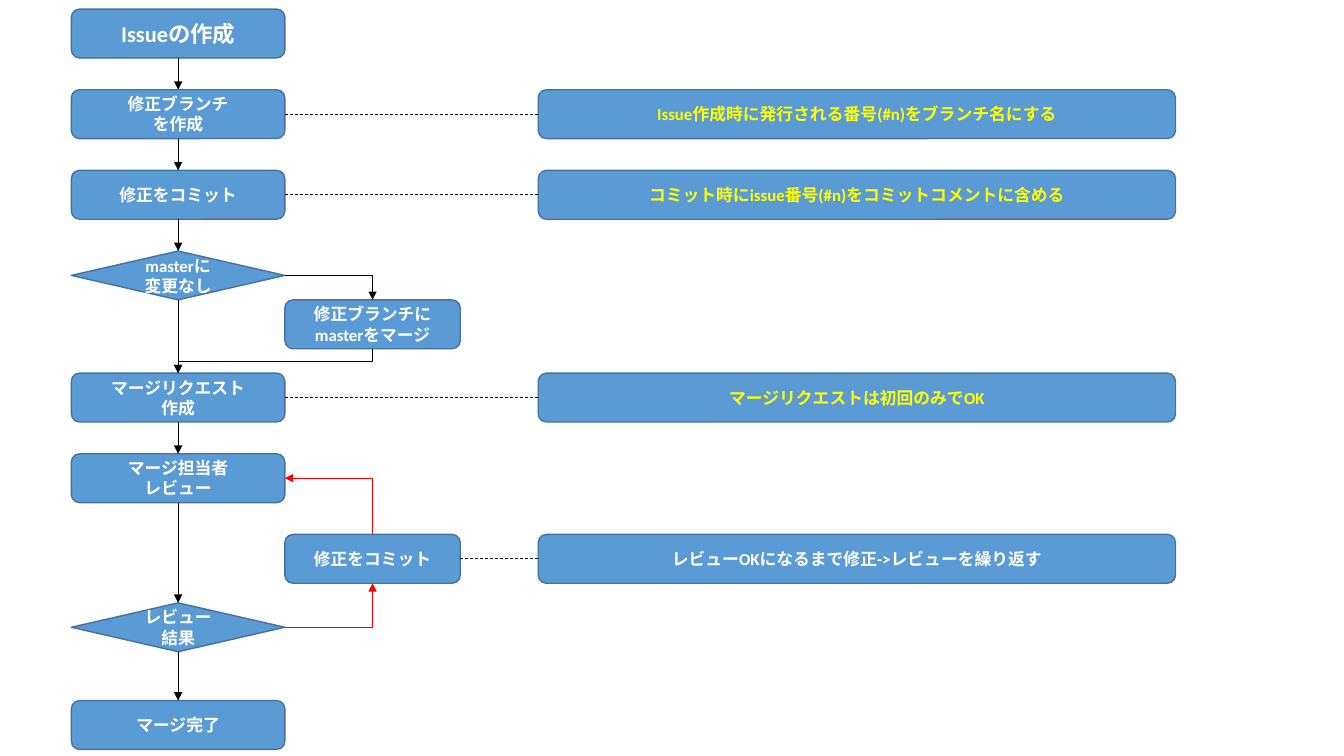
from dataclasses import dataclass

from lxml import etree
from pptx import Presentation
from pptx.dml.color import RGBColor
from pptx.enum.dml import MSO_LINE
from pptx.enum.shapes import MSO_CONNECTOR, MSO_SHAPE
from pptx.enum.text import MSO_ANCHOR, PP_ALIGN
from pptx.oxml.ns import qn
from pptx.shapes.autoshape import Shape
from pptx.shapes.connector import Connector
from pptx.util import Pt

ROUNDED, DECISION = MSO_SHAPE.ROUNDED_RECTANGLE, MSO_SHAPE.FLOWCHART_DECISION
STRAIGHT, ELBOW = MSO_CONNECTOR.STRAIGHT, MSO_CONNECTOR.ELBOW
CENTER, MIDDLE, DASH = PP_ALIGN.CENTER, MSO_ANCHOR.MIDDLE, MSO_LINE.DASH
TOP, LEFT, BOTTOM, RIGHT = range(4)  # connection sites of both box shapes


@dataclass(frozen=True)
class Theme:
    box: RGBColor = RGBColor(0x5B, 0x9B, 0xD5)
    border: RGBColor = RGBColor(0x43, 0x73, 0x9E)
    text: RGBColor = RGBColor(0xFF, 0xFF, 0xFF)
    rule: RGBColor = RGBColor(0xFF, 0xFF, 0x00)
    flow: RGBColor = RGBColor(0x00, 0x00, 0x00)
    rework: RGBColor = RGBColor(0xFF, 0x00, 0x00)
    font: str = "Calibri"
    start_size: float = 16
    body_size: float = 12
    border_width: float = 1
    flow_width: float = 0.5


@dataclass(frozen=True)
class Column:
    left: float
    width: float


@dataclass(frozen=True)
class Step:
    key: str
    text: str
    column: Column
    top: float
    kind: MSO_SHAPE = ROUNDED
    size: float = Theme.body_size
    color: RGBColor = Theme.text


@dataclass(frozen=True)
class Link:
    begin: str
    end: str
    begin_site: int = BOTTOM
    end_site: int = TOP
    color: RGBColor = Theme.flow
    arrow: bool = True
    bend: str = ""


THEME = Theme()

# Grid
BOX_HEIGHT = 34.9
PITCH = 57.6
MAIN = Column(51, 152.5)
SIDE = Column(MAIN.left + MAIN.width, 125.3)
NOTES = Column(384.5, 455.2)
ISSUE, BRANCH, COMMIT, CHECK = (6.5 + PITCH * row for row in range(4))
MERGE_MASTER = CHECK + BOX_HEIGHT
REQUEST, REVIEW, FIX = (CHECK + 2.5 * BOX_HEIGHT + PITCH * row for row in range(3))
RESULT, DONE = 430.6, 500.4

# A line feed starts a paragraph, a vertical tab breaks a line
STEPS = [
    Step("issue", "Issueの作成", MAIN, ISSUE, size=THEME.start_size),
    Step("branch", "修正ブランチ\nを作成", MAIN, BRANCH),
    Step("commit", "修正をコミット", MAIN, COMMIT),
    Step("check", "masterに\n変更なし", MAIN, CHECK, DECISION),
    Step("merge_master", "修正ブランチにmasterをマージ", SIDE, MERGE_MASTER),
    Step("request", "マージリクエスト\n作成", MAIN, REQUEST),
    Step("review", "マージ担当者\vレビュー", MAIN, REVIEW),
    Step("fix", "修正をコミット", SIDE, FIX),
    Step("result", "レビュー\n結果", MAIN, RESULT, DECISION),
    Step("done", "マージ完了", MAIN, DONE),
    Step("branch_note", "Issue作成時に発行される番号(#n)をブランチ名にする",
         NOTES, BRANCH, color=THEME.rule),
    Step("commit_note", "コミット時にissue番号(#n)をコミットコメントに含める",
         NOTES, COMMIT, color=THEME.rule),
    Step("request_note", "マージリクエストは初回のみでOK",
         NOTES, REQUEST, color=THEME.rule),
    Step("fix_note", "レビューOKになるまで修正->レビューを繰り返す", NOTES, FIX),
]

MAIN_FLOW = [step.key for step in STEPS if step.column == MAIN]
LINKS = [Link(begin, end) for begin, end in zip(MAIN_FLOW, MAIN_FLOW[1:])]
LINKS += [Link(key, f"{key}_note", RIGHT, LEFT, arrow=False)
          for key in ("branch", "commit", "request", "fix")]
LINKS += [
    Link("check", "merge_master", RIGHT, TOP, bend="bentConnector2"),
    Link("merge_master", "request", BOTTOM, TOP, bend="bentConnector3"),
    Link("result", "fix", RIGHT, BOTTOM, THEME.rework, bend="bentConnector2"),
    Link("fix", "review", TOP, RIGHT, THEME.rework, bend="bentConnector2"),
]


def write_text(shape: Shape, text: str, *, size: float, color: RGBColor) -> None:
    frame = shape.text_frame
    frame.word_wrap = True
    frame.vertical_anchor = MIDDLE
    frame.text = text
    for paragraph in frame.paragraphs:
        paragraph.alignment = CENTER
        for run in paragraph.runs:
            run.font.name = THEME.font
            run.font.size = Pt(size)
            run.font.bold = True
            run.font.color.rgb = color


def draw_step(shapes, step: Step) -> Shape:
    box = shapes.add_shape(step.kind, Pt(step.column.left), Pt(step.top),
                           Pt(step.column.width), Pt(BOX_HEIGHT))
    box.shadow.inherit = False
    box.fill.solid()
    box.fill.fore_color.rgb = THEME.box
    box.line.color.rgb = THEME.border
    box.line.width = Pt(THEME.border_width)
    write_text(box, step.text, size=step.size, color=step.color)
    return box


def start_vertically(route: Connector) -> None:
    """Turn an elbow so that its first segment runs up or down."""
    dx = route.end_x - route.begin_x
    dy = route.end_y - route.begin_y
    middle_x = (route.begin_x + route.end_x) // 2
    middle_y = (route.begin_y + route.end_y) // 2
    route.width, route.height = abs(dy), abs(dx)
    route.left, route.top = middle_x - abs(dy) // 2, middle_y - abs(dx) // 2
    frame = route._element.spPr.find(qn("a:xfrm"))
    frame.set("rot", str((90 if dy > 0 else 270) * 60000))
    frame.set("flipH", "0")
    frame.set("flipV", "1" if (dx > 0) == (dy > 0) else "0")


def draw_link(shapes, link: Link, boxes: dict[str, Shape]) -> Connector:
    route = shapes.add_connector(ELBOW if link.bend else STRAIGHT, 0, 0, 0, 0)
    route.begin_connect(boxes[link.begin], link.begin_site)
    route.end_connect(boxes[link.end], link.end_site)
    route.line.color.rgb = link.color
    route.line.width = Pt(THEME.flow_width)
    properties = route._element.spPr
    if link.bend:
        properties.find(qn("a:prstGeom")).set("prst", link.bend)
        if link.begin_site in (TOP, BOTTOM):
            start_vertically(route)
    if link.arrow:
        etree.SubElement(properties.find(qn("a:ln")), qn("a:tailEnd"), type="triangle")
    else:
        route.line.dash_style = DASH
    etree.SubElement(properties, qn("a:effectLst"))
    return route


presentation = Presentation()
presentation.slide_width, presentation.slide_height = Pt(960), Pt(540)
slide = presentation.slides.add_slide(presentation.slide_layouts[6])

# Steps and notes, then the flow between them
boxes = {step.key: draw_step(slide.shapes, step) for step in STEPS}
for link in LINKS:
    draw_link(slide.shapes, link, boxes)

presentation.save("out.pptx")
